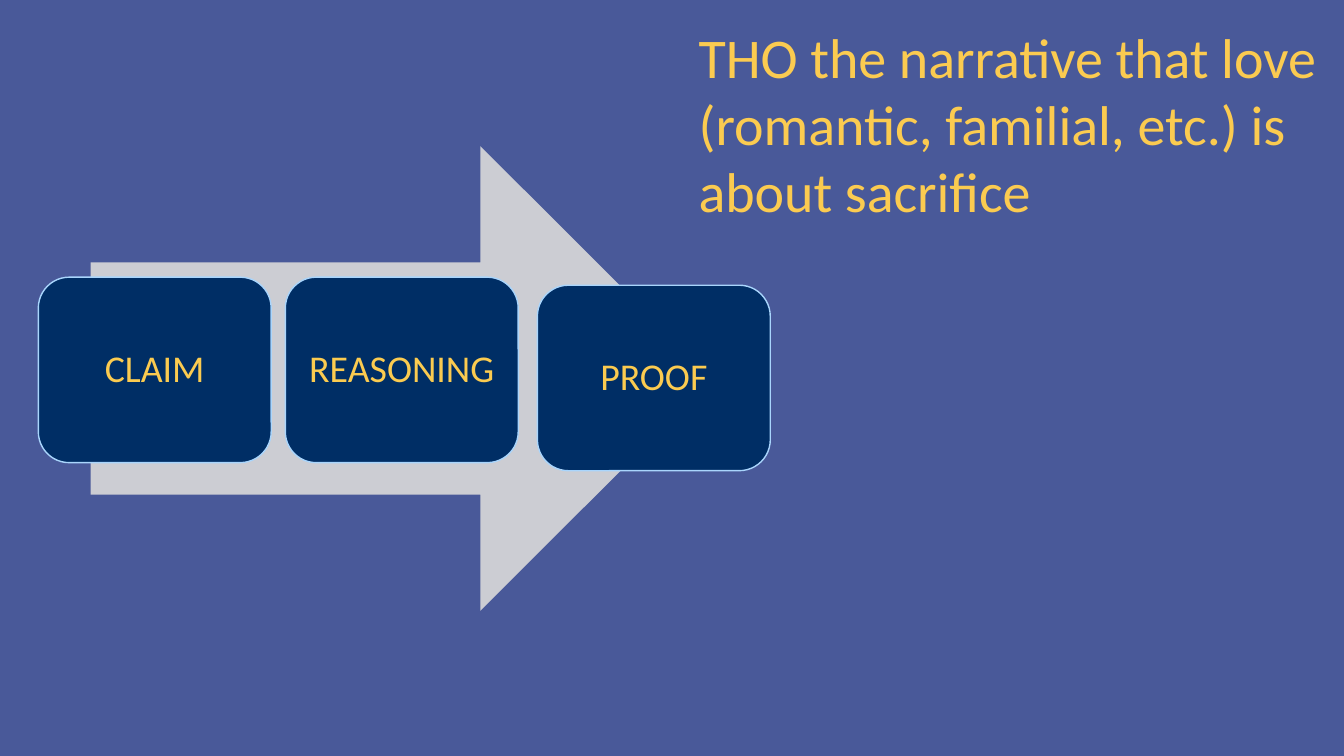
from dataclasses import dataclass

from pptx import Presentation
from pptx.dml.color import RGBColor
from pptx.enum.shapes import MSO_SHAPE
from pptx.enum.text import MSO_ANCHOR, MSO_AUTO_SIZE, PP_ALIGN
from pptx.shapes.autoshape import Shape
from pptx.slide import Slide
from pptx.text.text import _Paragraph
from pptx.util import Inches, Pt

BACKGROUND = RGBColor(0x49, 0x59, 0x99)
ARROW_GRAY = RGBColor(0xCC, 0xCD, 0xD3)
NAVY = RGBColor(0x00, 0x2E, 0x65)
LIGHT_BLUE = RGBColor(0xA9, 0xD5, 0xFC)
GOLD = RGBColor(0xFB, 0xCB, 0x50)

FONT_NAME = "Calibri"
STEP_WIDTH = 2.31
STEP_HEIGHT = 1.84
STEP_INSET = 0.11


@dataclass(frozen=True)
class Step:
    label: str
    left: float
    top: float


STEPS = [
    Step("CLAIM", 0.38, 2.75),
    Step("REASONING", 2.83, 2.75),
    Step("PROOF", 5.33, 2.83),
]


def write_text(paragraph: _Paragraph, text: str, size: int) -> None:
    paragraph.text = text
    paragraph.font.name = FONT_NAME
    paragraph.font.size = Pt(size)
    paragraph.font.color.rgb = GOLD


def add_filled_shape(slide: Slide, kind: MSO_SHAPE, left: float, top: float,
                     width: float, height: float, color: RGBColor) -> Shape:
    """Add a shape with a solid fill, no outline and no shadow."""
    shape = slide.shapes.add_shape(
        kind, Inches(left), Inches(top), Inches(width), Inches(height))
    shape.shadow.inherit = False
    shape.fill.solid()
    shape.fill.fore_color.rgb = color
    shape.line.fill.background()
    return shape


def add_step(slide: Slide, step: Step) -> None:
    box = add_filled_shape(slide, MSO_SHAPE.ROUNDED_RECTANGLE, step.left, step.top,
                           STEP_WIDTH, STEP_HEIGHT, NAVY)
    box.line.color.rgb = LIGHT_BLUE
    box.line.width = Pt(1)
    frame = box.text_frame
    frame.word_wrap = True
    frame.vertical_anchor = MSO_ANCHOR.MIDDLE
    frame.margin_left = frame.margin_right = Inches(STEP_INSET)
    frame.margin_top = frame.margin_bottom = Inches(STEP_INSET)
    paragraph = frame.paragraphs[0]
    paragraph.alignment = PP_ALIGN.CENTER
    paragraph.line_spacing = 0.9
    write_text(paragraph, step.label, 27)


def add_motion(slide: Slide) -> None:
    """Add the debate motion at the top right."""
    motion = slide.shapes.add_textbox(
        Inches(6.83), Inches(0.17), Inches(6.61), Inches(2.12))
    frame = motion.text_frame
    frame.word_wrap = True
    frame.auto_size = MSO_AUTO_SIZE.SHAPE_TO_FIT_TEXT
    write_text(
        frame.paragraphs[0],
        "THO the narrative that love (romantic, familial, etc.) is about sacrifice",
        40)


def main() -> None:
    presentation = Presentation()
    presentation.slide_width = Inches(13.33)
    presentation.slide_height = Inches(7.5)
    slide = presentation.slides.add_slide(presentation.slide_layouts[6])
    slide.background.fill.solid()
    slide.background.fill.fore_color.rgb = BACKGROUND

    add_filled_shape(slide, MSO_SHAPE.RIGHT_ARROW, 0.9, 1.45, 6.17, 4.61, ARROW_GRAY)
    for step in STEPS:
        add_step(slide, step)
    add_motion(slide)
    presentation.save("out.pptx")


if __name__ == "__main__":
    main()
